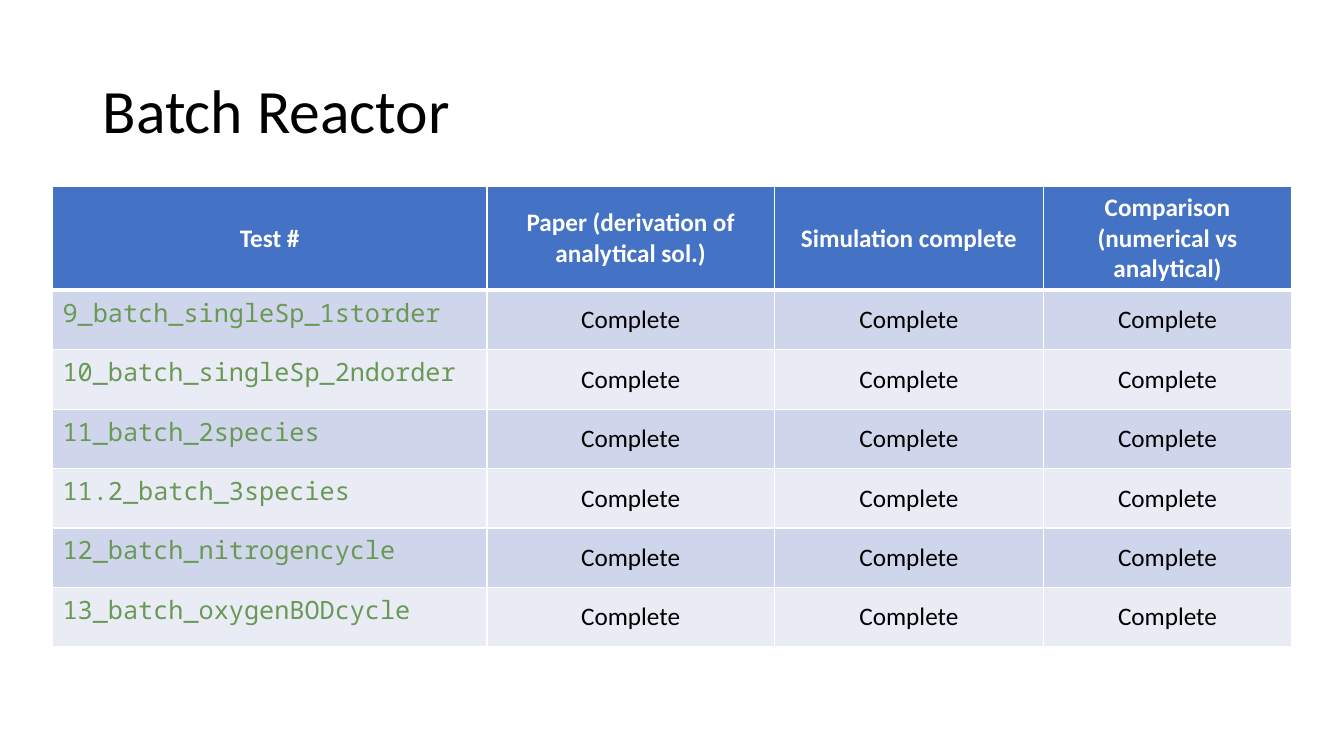
import pptx
import pptx.util
import pptx.dml.color
import pptx.enum.text
import pptx.oxml
import pptx.oxml.ns

Inches = pptx.util.Inches
Pt = pptx.util.Pt
RGBColor = pptx.dml.color.RGBColor
Align = pptx.enum.text.PP_ALIGN
Anchor = pptx.enum.text.MSO_ANCHOR

BLACK = RGBColor(0x00, 0x00, 0x00)
WHITE = RGBColor(0xFF, 0xFF, 0xFF)
HEADER_BLUE = RGBColor(0x44, 0x72, 0xC4)
BANDS = (RGBColor(0xCF, 0xD5, 0xEA), RGBColor(0xE9, 0xEB, 0xF5))
CODE_GREEN = RGBColor(0x6A, 0x99, 0x55)

HEADINGS = ["Test #", "Paper (derivation of analytical sol.)",
            "Simulation complete", "Comparison (numerical vs analytical)"]
TESTS = ["9_batch_singleSp_1storder", "10_batch_singleSp_2ndorder",
         "11_batch_2species", "11.2_batch_3species",
         "12_batch_nitrogencycle", "13_batch_oxygenBODcycle"]
COLUMN_WIDTHS = [4.31, 2.85, 2.67, 2.46]
HEADER_HEIGHT, TEST_HEIGHT = 1.03, 0.59


def write(frame, text, size=18, font="Calibri", color=BLACK, bold=False,
          align=Align.LEFT, spacing=1.0):
    paragraph = frame.paragraphs[0]
    paragraph.alignment = align
    paragraph.line_spacing = spacing
    run = paragraph.add_run()
    run.text = text
    run.font.size = Pt(size)
    run.font.name = font
    run.font.bold = bold
    run.font.color.rgb = color


class StatusSlide:
    def __init__(self, deck):
        self.slide = deck.slides.add_slide(deck.slide_layouts[6])
        self.border = WHITE

    def title(self, text, left, top, width, height):
        box = self.slide.shapes.add_textbox(
            Inches(left), Inches(top), Inches(width), Inches(height))
        box.text_frame.word_wrap = True
        box.text_frame.vertical_anchor = Anchor.MIDDLE
        write(box.text_frame, text, size=44, spacing=0.9)

    def table(self, left, top, widths, heights):
        table = self.slide.shapes.add_table(
            len(heights), len(widths), Inches(left), Inches(top),
            Inches(sum(widths)), Inches(sum(heights))).table
        for column, width in zip(table.columns, widths):
            column.width = Inches(width)
        for row, height in zip(table.rows, heights):
            row.height = Inches(height)
        return table

    def cell(self, cell, text, fill, anchor=Anchor.MIDDLE, top=1, bottom=1,
             **text_format):
        # Borders come before the fill in the cell properties
        properties = cell._tc.get_or_add_tcPr()
        for side, points in (("L", 1), ("R", 1), ("T", top), ("B", bottom)):
            properties.append(pptx.oxml.parse_xml(
                f'<a:ln{side} {pptx.oxml.ns.nsdecls("a")} w="{Pt(points)}">'
                f'<a:solidFill><a:srgbClr val="{self.border}"/></a:solidFill>'
                f'</a:ln{side}>'))
        cell.fill.solid()
        cell.fill.fore_color.rgb = fill
        cell.vertical_anchor = anchor
        write(cell.text_frame, text, **text_format)


def main():
    deck = pptx.Presentation()
    deck.slide_width, deck.slide_height = Inches(13.33), Inches(7.5)
    status = StatusSlide(deck)

    # Title
    status.title("Batch Reactor", 0.92, 0.4, 11.5, 1.45)

    # Table header
    progress = status.table(0.52, 1.85, COLUMN_WIDTHS,
                            [HEADER_HEIGHT] + [TEST_HEIGHT] * len(TESTS))
    for column, heading in enumerate(HEADINGS):
        status.cell(progress.cell(0, column), heading, HEADER_BLUE, bottom=3,
                    color=WHITE, bold=True, align=Align.CENTER)

    # One row per test
    for row, test in enumerate(TESTS, start=1):
        band = BANDS[(row - 1) % 2]
        top = 3 if row == 1 else 1
        status.cell(progress.cell(row, 0), test, band, Anchor.TOP, top=top,
                    font="Noto Sans Mono", color=CODE_GREEN)
        for column in range(1, len(HEADINGS)):
            status.cell(progress.cell(row, column), "Complete", band, top=top,
                        align=Align.CENTER)

    deck.save("out.pptx")


if __name__ == "__main__":
    main()
